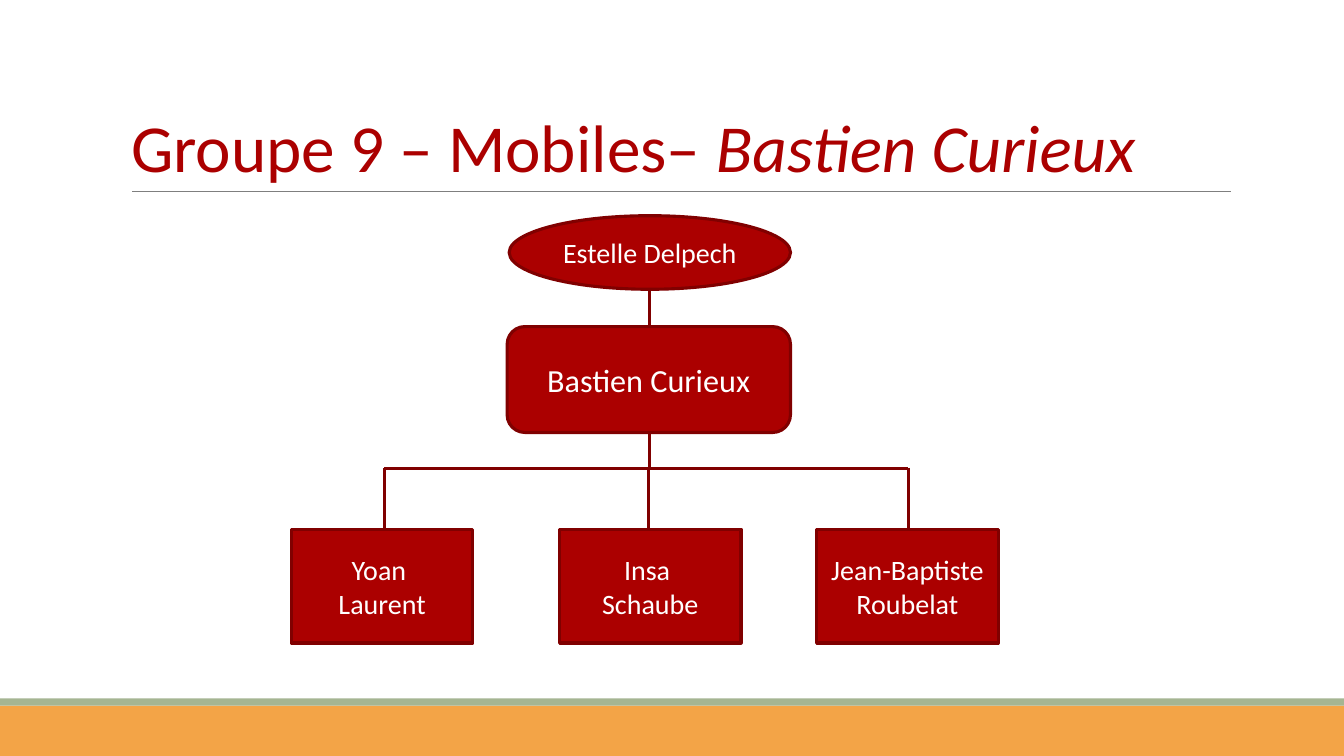
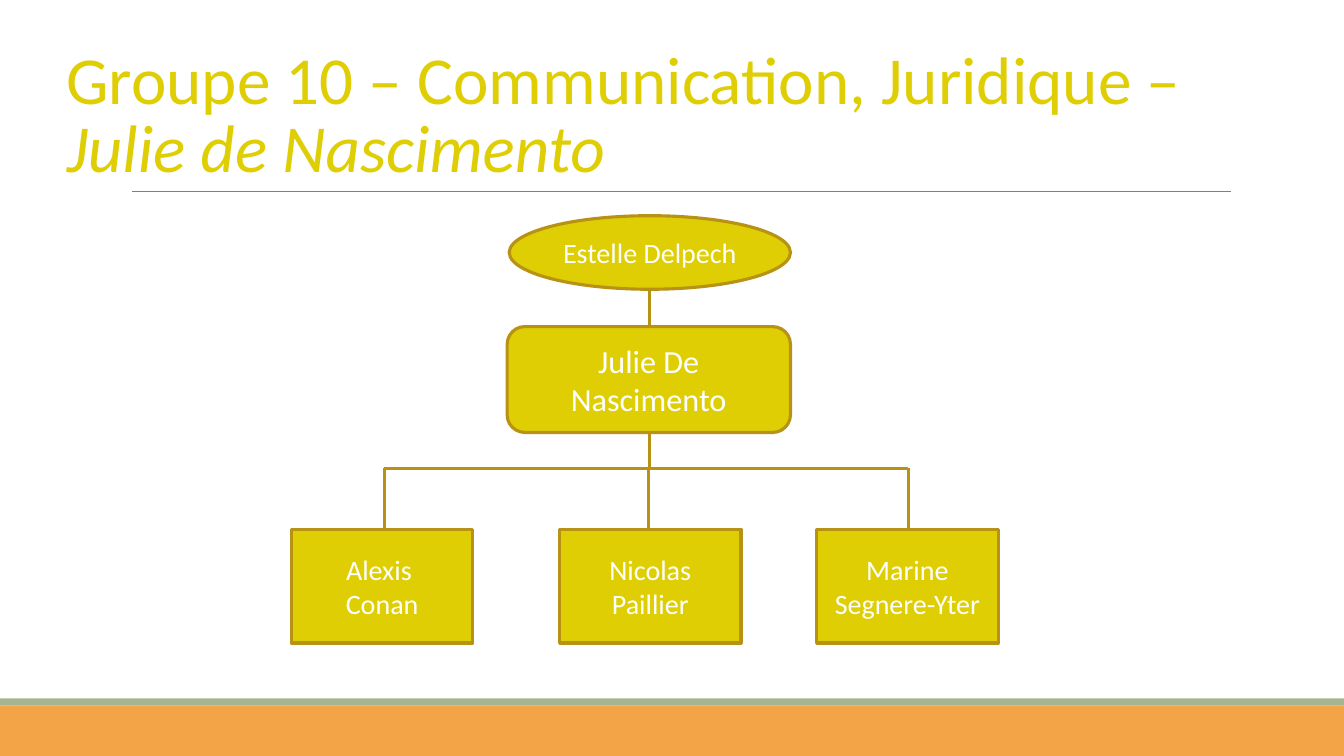
from lxml.etree import SubElement
from pptx import Presentation
from pptx.dml.color import RGBColor
from pptx.enum.shapes import MSO_CONNECTOR, MSO_SHAPE
from pptx.enum.text import MSO_ANCHOR, MSO_AUTO_SIZE, PP_ALIGN
from pptx.oxml.ns import qn
from pptx.util import Inches, Pt


def rgb(value):
    return RGBColor.from_string(value)


def add_line(slide, start, end, color, weight):
    line = slide.shapes.add_connector(
        MSO_CONNECTOR.STRAIGHT, *[Inches(n) for n in (*start, *end)])
    line.line.color.rgb = rgb(color)
    line.line.width = Pt(weight)
    SubElement(line.element.spPr, qn("a:effectLst"))
    return line


FONT = "Calibri"
WHITE = "FFFFFF"
BANDS = [(7, 0.5, "F3A447"), (6.93, 0.07, "A5B592")]

MEMBER_LEFTS = [2.89, 5.55, 8.1]
BRANCH_XS = [3.81, 6.43, 9.01]
TRUNK_X, BRANCH_Y, MEMBER_TOP = 6.44, 4.65, 5.25

GROUPS = [
    {
        "title": "Groupe 9 – Mobiles– ", "leader_in_title": "Bastien Curieux",
        "title_left": 1.2, "title_width": 11,
        "fill": "AB0000", "outline": "800000",
        "leader": "Bastien Curieux",
        "members": ["Yoan \nLaurent", "Insa \nSchaube", "Jean-Baptiste\nRoubelat"],
    },
    {
        "title": "Groupe 10 – Communication, Juridique – ",
        "leader_in_title": "Julie de Nascimento",
        "title_left": 0.56, "title_width": 12.41,
        "fill": "DFCE04", "outline": "B79214",
        "leader": "Julie De Nascimento",
        "members": ["Alexis \nConan", "Nicolas Paillier", "Marine\nSegnere-Yter"],
    },
]

prs = Presentation()
prs.slide_width, prs.slide_height = Inches(13.33), Inches(7.5)
layout = prs.slide_layouts[5]
slides = [prs.slides.add_slide(layout) for group in GROUPS]

for placeholder in list(layout.placeholders)[1:]:
    layout.shapes.element.remove(placeholder.element)

decor = [add_line(slides[0], (1.31, 1.9), (12.21, 1.9), "7F7F7F", 0.75)]
for top, height, color in BANDS:
    band = slides[0].shapes.add_shape(
        MSO_SHAPE.RECTANGLE, 0, Inches(top), prs.slide_width, Inches(height))
    band.shadow.inherit = False
    band.fill.solid()
    band.fill.fore_color.rgb = rgb(color)
    band.line.fill.background()
    decor.append(band)
for part in decor:
    layout.shapes.element.append(part.element)

for slide, group in zip(slides, GROUPS):
    title = slide.shapes.title
    title.left, title.top = Inches(group["title_left"]), Inches(0.31)
    title.width, title.height = Inches(group["title_width"]), Inches(1.59)
    title.text_frame.vertical_anchor = MSO_ANCHOR.BOTTOM
    title.text_frame.auto_size = MSO_AUTO_SIZE.NONE
    heading = title.text_frame.paragraphs[0]
    heading.alignment = PP_ALIGN.LEFT
    heading.line_spacing = 0.85
    heading.font.name = FONT
    heading.font.size = Pt(48)
    heading.font.color.rgb = rgb(group["fill"])
    heading.add_run().text = group["title"]
    leader_name = heading.add_run()
    leader_name.text = group["leader_in_title"]
    leader_name.font.italic = True

    links = [
        ((BRANCH_XS[0], BRANCH_Y), (BRANCH_XS[-1], BRANCH_Y)),
        ((TRUNK_X, 4.03), (TRUNK_X, BRANCH_Y)),
        ((TRUNK_X, 2.64), (TRUNK_X, 3.24)),
    ]
    links += [((x, BRANCH_Y - 0.01), (x, MEMBER_TOP)) for x in BRANCH_XS]
    for start, end in links:
        add_line(slide, start, end, group["outline"], 2.25)

    people = [
        (MSO_SHAPE.OVAL, (5.05, 2.14, 2.79, 0.73), "Estelle Delpech", 20),
        (MSO_SHAPE.ROUNDED_RECTANGLE, (5.03, 3.24, 2.81, 1.05), group["leader"], 23),
    ]
    people += [(MSO_SHAPE.RECTANGLE, (left, MEMBER_TOP, 1.8, 1.13), name, 20)
               for left, name in zip(MEMBER_LEFTS, group["members"])]
    for outline, place, name, size in people:
        person = slide.shapes.add_shape(outline, *[Inches(n) for n in place])
        person.shadow.inherit = False
        person.fill.solid()
        person.fill.fore_color.rgb = rgb(group["fill"])
        person.line.color.rgb = rgb(group["outline"])
        person.line.width = Pt(2.25)
        person.text_frame.word_wrap = True
        person.text_frame.vertical_anchor = MSO_ANCHOR.MIDDLE
        person.text_frame.text = name
        for paragraph in person.text_frame.paragraphs:
            paragraph.alignment = PP_ALIGN.CENTER
            paragraph.font.name = FONT
            paragraph.font.size = Pt(size)
            paragraph.font.color.rgb = rgb(WHITE)

prs.save("out.pptx")
